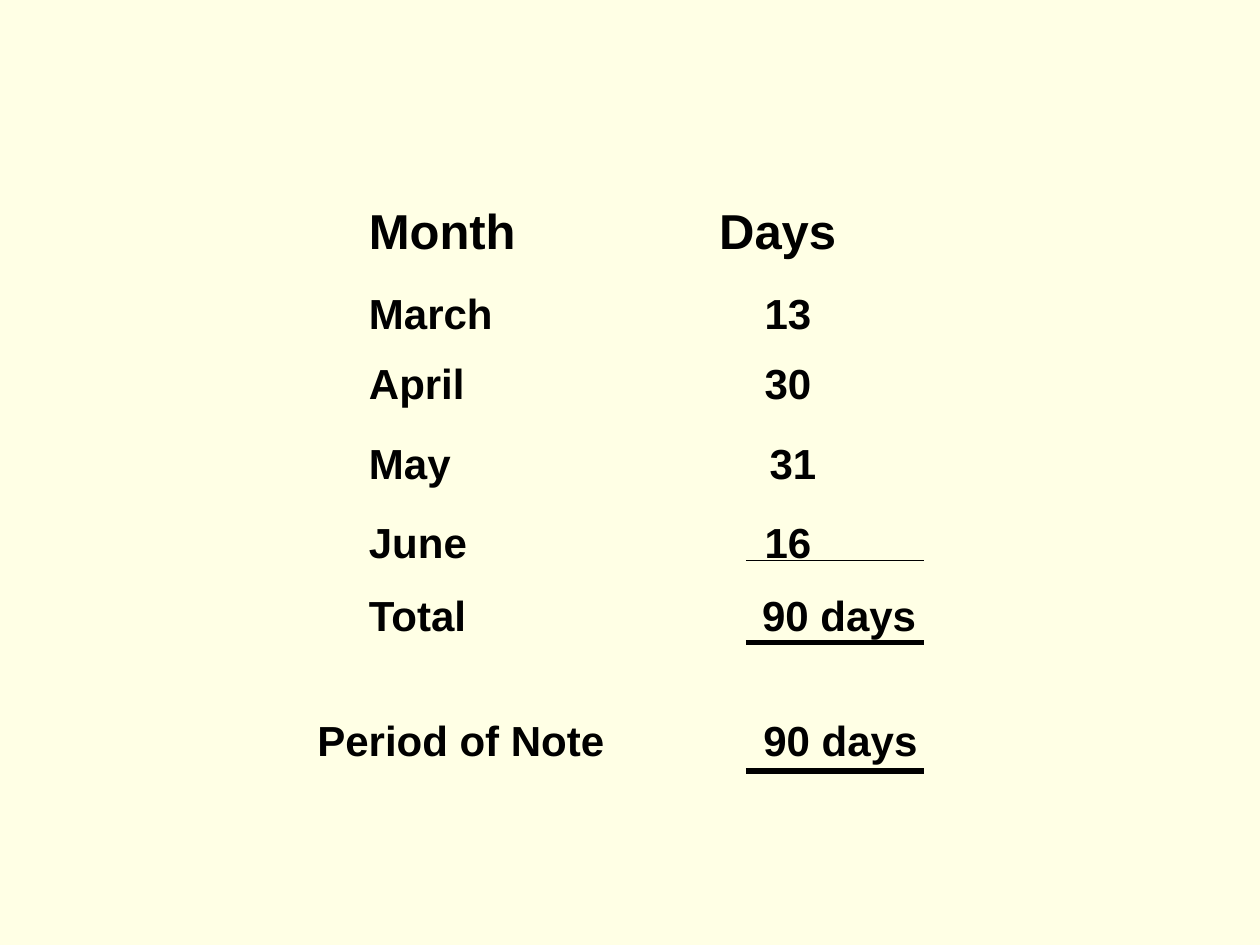
from pptx import Presentation
from pptx import util as u
from pptx.dml.color import RGBColor
from pptx.enum import shapes, text
from lxml import etree
from pptx.oxml.ns import qn

COLORS = {"background": "FFFFE5", "ink": "000000"}

prs = Presentation()
prs.slide_width, prs.slide_height = u.Inches(10), u.Inches(7.5)
s = prs.slides.add_slide(prs.slide_layouts[6])
s.background.fill.solid()
s.background.fill.fore_color.rgb = RGBColor.from_string(COLORS["background"])

boxes = [
    (2.83, 1.54, 4.83, 0.57, 28, [("Month", "Days", 2.78)]),
    (2.83, 2.23, 4.83, 0.5, 24, [("March", "13", 3.14)]),
    (2.83, 2.79, 4.83, 1.72, 24,
     [("April", "30", 3.14), ("May", "31", 3.18), ("June", "16", 3.14)]),
    (2.83, 4.63, 4.83, 0.5, 24, [("Total", "90 days", 3.12)]),
    (2.42, 5.62, 5.62, 0.5, 24, [("Period of Note", "90 days", 3.54)]),
]
for left, top, width, height, size, rows in boxes:
    sp = s.shapes.add_textbox(u.Inches(left), u.Inches(top), u.Inches(width), u.Inches(height))
    tf = sp.text_frame
    tf.word_wrap = True
    tf.auto_size = text.MSO_AUTO_SIZE.SHAPE_TO_FIT_TEXT
    for i, (label, days, stop) in enumerate(rows):
        p = tf.paragraphs[0] if i == 0 else tf.add_paragraph()
        if i:
            p.space_before = u.Pt(16.5)
        tabs = etree.SubElement(p._p.get_or_add_pPr(), qn("a:tabLst"))
        etree.SubElement(tabs, qn("a:tab"), pos=str(u.Inches(stop)), algn="l")
        for part in (label, "\t" + days):
            r = p.add_run()
            r.text = part
            r.font.name = "Arial"
            r.font.size = u.Pt(size)
            r.font.bold = True
            r.font.color.rgb = RGBColor.from_string(COLORS["ink"])

for y, weight in [(4.45, 0.75), (5.1, 3), (6.12, 3)]:
    rule = s.shapes.add_connector(
        shapes.MSO_CONNECTOR.STRAIGHT, u.Inches(5.92), u.Inches(y), u.Inches(7.33), u.Inches(y))
    rule.line.color.rgb = RGBColor.from_string(COLORS["ink"])
    rule.line.width = u.Pt(weight)
    etree.SubElement(rule._element.spPr, qn("a:effectLst"))

prs.save("out.pptx")
